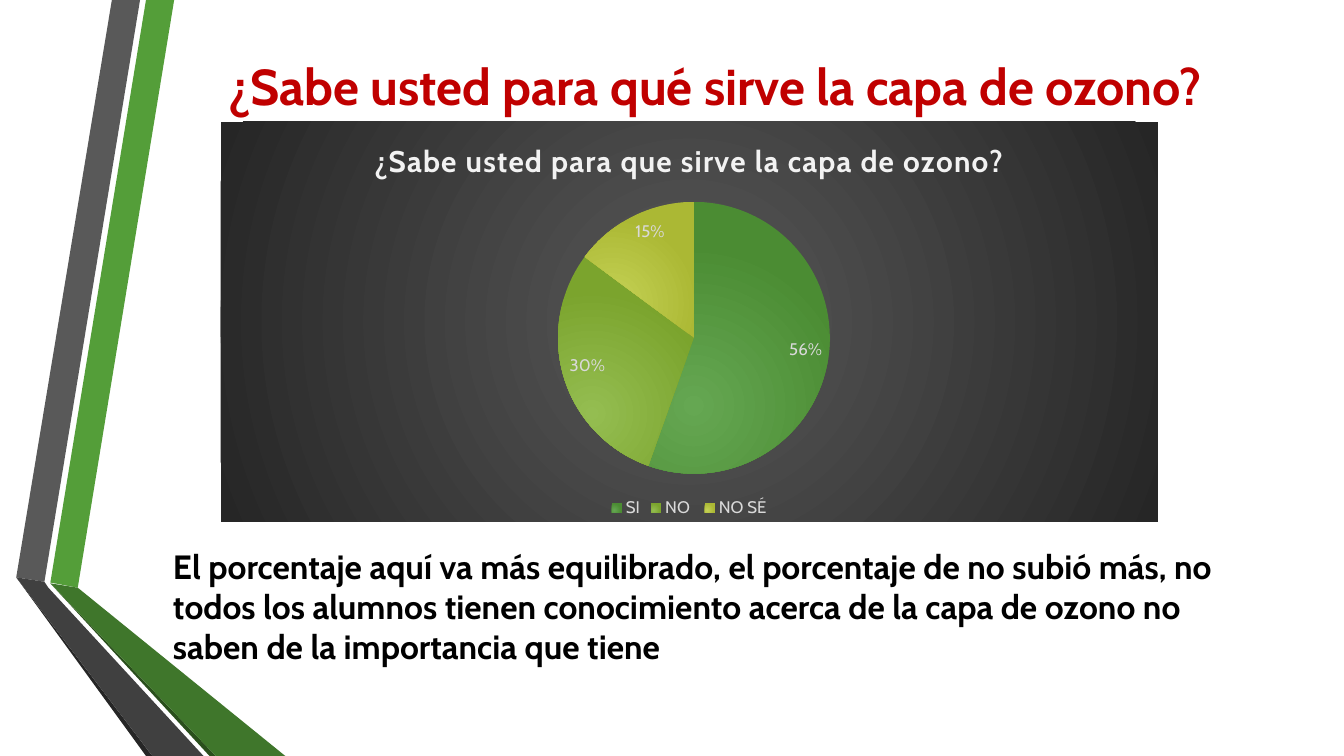
from pptx import Presentation
from pptx.chart.data import CategoryChartData as Data
from pptx.dml.color import RGBColor as RGB
from pptx.enum.chart import XL_CHART_TYPE as Kind, XL_LABEL_POSITION as Spot, XL_LEGEND_POSITION as Side
from pptx.enum.text import MSO_ANCHOR as Anchor, PP_ALIGN as Align
from pptx.oxml import parse_xml
from pptx.oxml.ns import nsdecls, qn
from pptx.util import Cm, Pt

FONT = "Cabin"
RED = RGB(0xC0, 0x00, 0x00)
BLACK = RGB(0x00, 0x00, 0x00)
PALE = RGB(0xF2, 0xF2, 0xF2)
SOFT = RGB(0xD9, 0xD9, 0xD9)
GREEN = RGB(0x54, 0x9E, 0x39)
LEAF = RGB(0x3F, 0x76, 0x2B)
PINE = RGB(0x2A, 0x4F, 0x1C)
GREY = RGB(0x59, 0x59, 0x59)
COAL = RGB(0x40, 0x40, 0x40)
INK = RGB(0x26, 0x26, 0x26)

WIDE, HIGH = 33.87, 19.05
TITLE = "¿Sabe usted para qué sirve la capa de ozono?"
NOTE = ("El porcentaje aquí va más equilibrado, el porcentaje de no subió más, "
        "no todos los alumnos tienen conocimiento acerca de la capa de ozono "
        "no saben de la importancia que tiene")
HEAD = "¿Sabe usted para que sirve la capa de ozono?"
SLICES = [
    ("SI", 56, RGB(0x65, 0xA7, 0x52), RGB(0x4B, 0x8C, 0x33)),
    ("NO ", 30, RGB(0x94, 0xBD, 0x51), RGB(0x7B, 0xA4, 0x2D)),
    ("NO SÉ", 15, RGB(0xC5, 0xD2, 0x56), RGB(0xAB, 0xB8, 0x34)),
]
BANDS = [
    (GREEN, [(1.27, 14.68), (1.96, 14.81), (4.39, 0), (3.68, 0)]),
    (GREY, [(3.53, 0), (2.82, 0), (0.41, 14.55), (1.12, 14.66)]),
    (INK, [(0.41, 14.55), (3.68, HIGH), (3.84, HIGH)]),
    (PINE, [(1.27, 14.7), (5.28, HIGH), (5.44, HIGH)]),
    (LEAF, [(1.27, 14.7), (5.44, HIGH), (7.19, HIGH), (1.96, 14.81)]),
    (COAL, [(5.13, HIGH), (1.22, 14.81), (1.12, 14.66), (0.41, 14.55), (3.84, HIGH)]),
]


def style(font, size, color, bold=False):
    font.name, font.size, font.bold = FONT, Pt(size), bold
    font.color.rgb = color


def write(slide, text, box, size=24, color=BLACK, align=Align.LEFT):
    frame = slide.shapes.add_textbox(*map(Cm, box)).text_frame
    frame.word_wrap = True
    frame.vertical_anchor = Anchor.MIDDLE
    para = frame.paragraphs[0]
    para.alignment = align
    run = para.add_run()
    run.text = text
    style(run.font, size, color, bold=True)


def glow(near, far, focus):
    left, top, right, base = (n * 1000 for n in focus)
    return parse_xml(
        f'<a:gradFill {nsdecls("a")} rotWithShape="1"><a:gsLst>'
        f'<a:gs pos="0"><a:srgbClr val="{near}"/></a:gs>'
        f'<a:gs pos="100000"><a:srgbClr val="{far}"/></a:gs></a:gsLst>'
        f'<a:path path="circle"><a:fillToRect l="{left}" t="{top}" '
        f'r="{right}" b="{base}"/></a:path></a:gradFill>')


def band(slide, color, points):
    spots = [(Cm(x), Cm(y)) for x, y in points]
    form = slide.shapes.build_freeform(*spots[0])
    form.add_line_segments(spots[1:])
    shape = form.convert_to_shape()
    shape.shadow.inherit = False
    shape.fill.solid()
    shape.fill.fore_color.rgb = color
    shape.line.fill.background()


def place(chart, x, y, w, h):
    area = chart._chartSpace.find(".//" + qn("c:plotArea"))
    for old in area.findall(qn("c:layout")):
        area.remove(old)
    area.insert(0, parse_xml(
        f'<c:layout {nsdecls("c")}><c:manualLayout><c:layoutTarget val="inner"/>'
        f'<c:xMode val="edge"/><c:yMode val="edge"/><c:x val="{x}"/><c:y val="{y}"/>'
        f'<c:w val="{w}"/><c:h val="{h}"/></c:manualLayout></c:layout>'))


def pie(slide, box):
    data = Data()
    data.categories = [row[0] for row in SLICES]
    data.add_series(HEAD, [row[1] for row in SLICES])
    chart = slide.shapes.add_chart(Kind.PIE, *map(Cm, box), data).chart
    style(chart.font, 10, BLACK)

    chart.has_title = True
    run = chart.chart_title.text_frame.paragraphs[0].add_run()
    run.text = HEAD
    style(run.font, 21.3, PALE, bold=True)
    run.font._element.set("spc", "100")
    chart.chart_title.include_in_layout = False

    chart.has_legend = True
    chart.legend.position = Side.BOTTOM
    chart.legend.include_in_layout = False
    style(chart.legend.font, 12, SOFT)

    plot = chart.plots[0]
    plot.vary_by_categories = True
    series = plot.series[0]
    labels = series.data_labels
    labels.show_value = True
    labels.number_format = '0"%"'
    labels.number_format_is_linked = False
    labels.position = Spot.INSIDE_END
    style(labels.font, 12, SOFT)

    for i, (name, value, near, far) in enumerate(SLICES):
        look = series.points[i].format
        look.line.fill.background()
        look.fill.background()
        props = series._element.findall(qn("c:dPt"))[i].find(qn("c:spPr"))
        props.replace(props.find(qn("a:noFill")), glow(near, far, (50, 100, 100, 50)))

    back = parse_xml(f'<c:spPr {nsdecls("c", "a")}><a:ln><a:noFill/></a:ln></c:spPr>')
    back.insert(0, glow(GREY, INK, (50, 50, 50, 50)))
    chart._chartSpace.find(qn("c:chart")).addnext(back)
    place(chart, 0.36, 0.2, 0.29, 0.68)


def main():
    deck = Presentation()
    deck.slide_width, deck.slide_height = Cm(WIDE), Cm(HIGH)
    slide = deck.slides.add_slide(deck.slide_layouts[6])
    for color, points in BANDS:
        band(slide, color, points)
    write(slide, TITLE, (4.11, 1.23, 27.84, 1.83), size=36, color=RED, align=Align.CENTER)
    write(slide, NOTE, (4.11, 13.77, 27.84, 3))
    pie(slide, (5.56, 3.07, 23.62, 10.08))
    deck.save("out.pptx")


if __name__ == "__main__":
    main()
